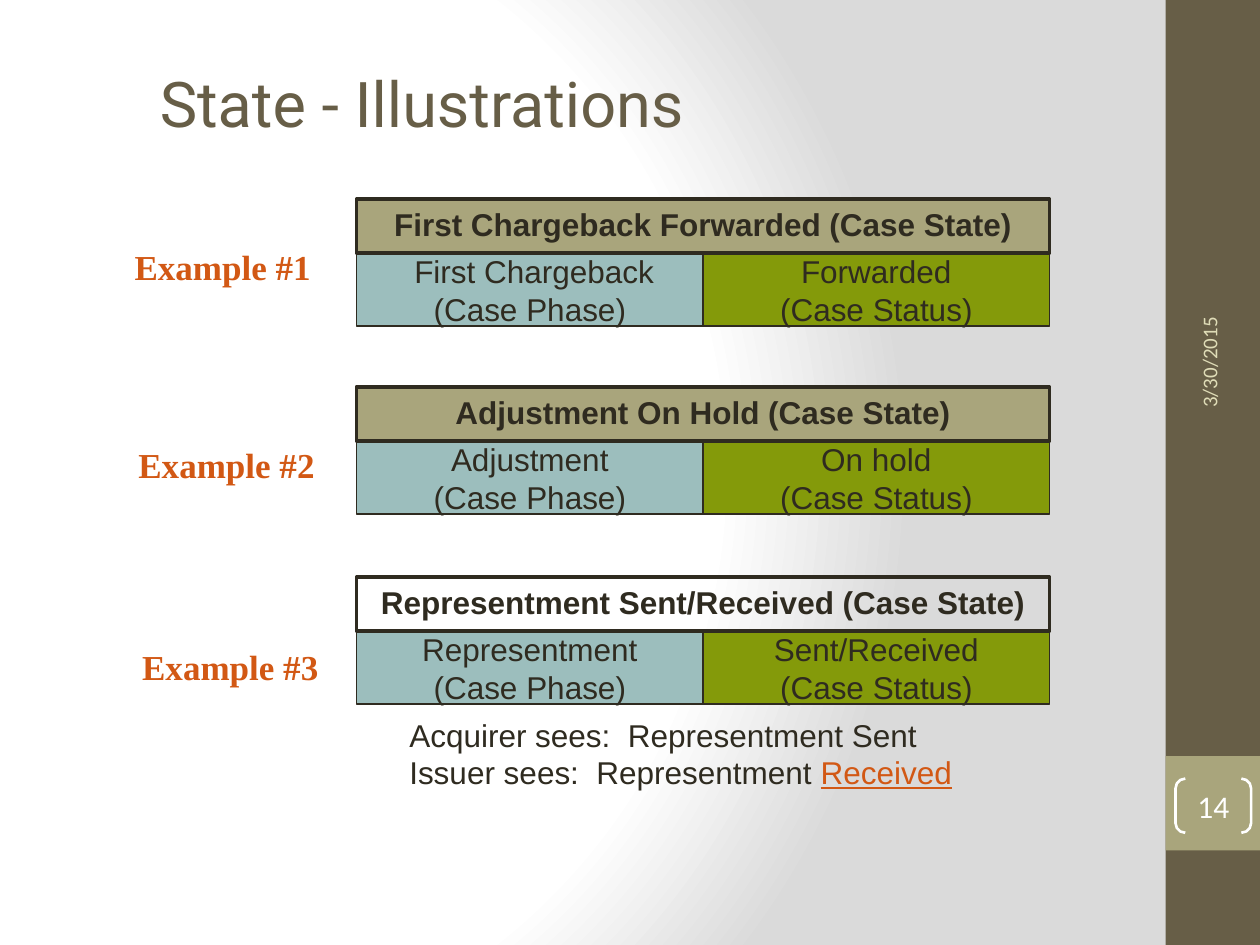
import pptx
import pptx.dml.color
import pptx.enum.shapes
import pptx.enum.text
import pptx.oxml
import pptx.oxml.ns
import pptx.util

RGBColor = pptx.dml.color.RGBColor
SHAPES = pptx.enum.shapes.MSO_SHAPE
ALIGN = pptx.enum.text.PP_ALIGN
ANCHOR = pptx.enum.text.MSO_ANCHOR
AUTO_SIZE = pptx.enum.text.MSO_AUTO_SIZE
Inches = pptx.util.Inches
Pt = pptx.util.Pt

BROWN = RGBColor(0x67, 0x5E, 0x47)
TAN = RGBColor(0xA9, 0xA5, 0x7C)
CREAM = RGBColor(0xDF, 0xDC, 0xB7)
INK = RGBColor(0x2F, 0x2B, 0x20)
TEAL = RGBColor(0x9C, 0xBE, 0xBD)
GREEN = RGBColor(0x84, 0x9A, 0x0A)
ORANGE = RGBColor(0xD2, 0x58, 0x14)
WHITE = RGBColor(0xFF, 0xFF, 0xFF)

TITLE = "State - Illustrations"
DATE = "3/30/2015"
PAGE_NUMBER = "14"
EXAMPLES = [
    {"top": 1.58, "label": "Example #1", "label_at": (0.97, 1.9), "fill": TAN,
     "state": "First Chargeback Forwarded (Case State)",
     "phase": " First Chargeback", "status": "Forwarded"},
    {"top": 3.07, "label": "Example #2", "label_at": (1, 3.47), "fill": TAN,
     "state": "Adjustment On Hold (Case State)",
     "phase": "Adjustment", "status": "On hold"},
    {"top": 4.58, "label": "Example #3", "label_at": (1.03, 5.07), "fill": None,
     "state": "Representment Sent/Received (Case State)",
     "phase": "Representment", "status": "Sent/Received"},
]
VIEWS = ["Acquirer sees:  Representment Sent", "Issuer sees:  Representment "]
HIGHLIGHT = "Received"

SLIDE_WIDTH, SLIDE_HEIGHT = 10, 7.5
SIDEBAR_WIDTH = 0.75
SIDEBAR_LEFT = SLIDE_WIDTH - SIDEBAR_WIDTH
BLOCK_LEFT, CELL_WIDTH = 2.83, 2.75
STATE_HEIGHT, CELL_HEIGHT = 0.43, 0.58

BACKGROUND = """<a:gradFill
 xmlns:a="http://schemas.openxmlformats.org/drawingml/2006/main" rotWithShape="1">
<a:gsLst><a:gs pos="0"><a:srgbClr val="FFFFFF"/></a:gs>
<a:gs pos="75000"><a:srgbClr val="FFFFFF"/></a:gs>
<a:gs pos="100000"><a:srgbClr val="DADADA"/></a:gs></a:gsLst>
<a:path path="circle"><a:fillToRect l="20000" t="50000" r="100000" b="50000"/></a:path>
</a:gradFill>"""


def paint_background(slide):
    slide.background.fill.gradient()
    gradient = slide.element.find(".//" + pptx.oxml.ns.qn("a:gradFill"))
    gradient.getparent().replace(gradient, pptx.oxml.parse_xml(BACKGROUND))


def write(shape, lines, size, font, color, bold=False, align=ALIGN.LEFT,
          anchor=ANCHOR.TOP, wrap=True, grow=False):
    frame = shape.text_frame
    frame.text = "\n".join(lines)
    frame.word_wrap = wrap
    frame.vertical_anchor = anchor
    frame.auto_size = AUTO_SIZE.SHAPE_TO_FIT_TEXT if grow else AUTO_SIZE.NONE
    for paragraph in frame.paragraphs:
        paragraph.alignment = align
        paragraph.font.size = Pt(size)
        paragraph.font.name = font
        paragraph.font.bold = bold
        paragraph.font.color.rgb = color


def add_box(slide, place, fill=None, line=None, line_width=1, kind=SHAPES.RECTANGLE):
    shape = slide.shapes.add_shape(kind, *map(Inches, place))
    shape.shadow.inherit = False
    if fill is None:
        shape.fill.background()
    else:
        shape.fill.solid()
        shape.fill.fore_color.rgb = fill
    if line is None:
        shape.line.fill.background()
    else:
        shape.line.color.rgb = line
        shape.line.width = Pt(line_width)
    return shape


def add_text(slide, place, lines, size, font, color, **options):
    box = slide.shapes.add_textbox(*map(Inches, place))
    write(box, lines, size, font, color, **options)
    return box


def add_sidebar(slide):
    add_box(slide, (SIDEBAR_LEFT, 0, SIDEBAR_WIDTH, SLIDE_HEIGHT), BROWN)
    add_box(slide, (SIDEBAR_LEFT, 6, SIDEBAR_WIDTH, SIDEBAR_WIDTH), TAN)
    date = add_text(slide, (8.26, 1.8, 2.67, 0.4), [DATE], 12, "Calibri", CREAM,
                    anchor=ANCHOR.MIDDLE)
    date.rotation = 270
    number = add_box(slide, (9.33, 6.18, 0.6, 0.43), None, WHITE, 1.5,
                     SHAPES.DOUBLE_BRACKET)
    number.adjustments[0] = 0.18
    write(number, [PAGE_NUMBER], 18, "Calibri", WHITE, align=ALIGN.CENTER,
          anchor=ANCHOR.MIDDLE)
    frame = number.text_frame
    frame.margin_left = frame.margin_right = frame.margin_top = frame.margin_bottom = 0


def add_example(slide, example):
    cells = [([example["phase"], "(Case Phase)"], TEAL),
             ([example["status"], "(Case Status)"], GREEN)]
    for column, (lines, fill) in enumerate(cells):
        cell = add_box(slide, (BLOCK_LEFT + column * CELL_WIDTH,
                               example["top"] + STATE_HEIGHT, CELL_WIDTH, CELL_HEIGHT),
                       fill, INK)
        write(cell, lines, 18, "Arial", INK, align=ALIGN.CENTER,
              anchor=ANCHOR.MIDDLE, wrap=False)
    state = add_box(slide, (BLOCK_LEFT, example["top"], 2 * CELL_WIDTH, STATE_HEIGHT),
                    example["fill"], INK, 2)
    write(state, [example["state"]], 18, "Arial", INK, bold=True,
          align=ALIGN.CENTER, grow=True)
    add_text(slide, (*example["label_at"], 1.6, 0.43), [example["label"]], 20,
             "Times New Roman", ORANGE, bold=True, wrap=False, grow=True)


def main():
    presentation = pptx.Presentation()
    presentation.slide_width = Inches(SLIDE_WIDTH)
    presentation.slide_height = Inches(SLIDE_HEIGHT)
    slide = presentation.slides.add_slide(presentation.slide_layouts[6])
    paint_background(slide)
    add_sidebar(slide)
    add_text(slide, (1.17, 0.25, 7.64, 1.12), [TITLE], 36, "Roboto", BROWN,
             anchor=ANCHOR.MIDDLE)
    for example in EXAMPLES:
        add_example(slide, example)
    views = add_text(slide, (3.15, 5.63, 4.51, 0.7), VIEWS, 18, "Arial", INK,
                     wrap=False, grow=True)
    run = views.text_frame.paragraphs[-1].add_run()
    run.text = HIGHLIGHT
    run.font.color.rgb = ORANGE
    run.font.underline = True
    presentation.save("out.pptx")


if __name__ == "__main__":
    main()
